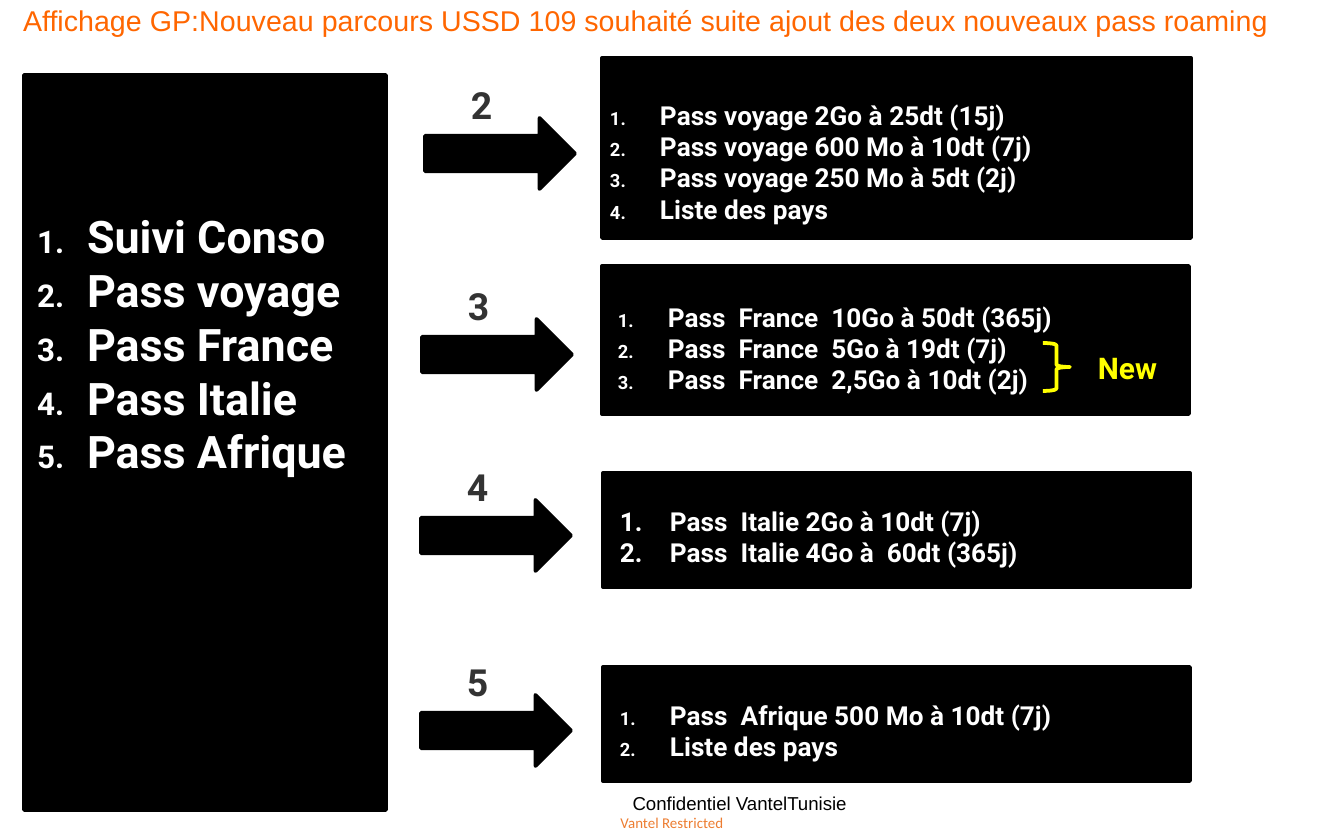
from lxml.etree import SubElement
from pptx import Presentation
from pptx.dml.color import RGBColor
from pptx.enum.shapes import MSO_SHAPE
from pptx.enum.text import MSO_ANCHOR, MSO_AUTO_SIZE, PP_ALIGN
from pptx.oxml.ns import qn
from pptx.util import Emu, Pt

EMU_PER_PX = 914400 / 134.4
INDENT = 50
BLACK, WHITE, YELLOW = "000000", "FFFFFF", "FFFF00"

# Text formats
TITLE = {"name": "Arial", "size": Pt(15.3), "bold": False, "color": "FF6600"}
MENU = {"name": "Roboto", "size": Pt(24), "bold": True, "color": WHITE}
OPTION = MENU | {"size": Pt(14)}
KEY = MENU | {"size": Pt(20), "color": "333333"}
NEW = MENU | {"size": Pt(16), "color": YELLOW}
FOOTER = {"name": "Arial", "size": Pt(10), "bold": False, "color": BLACK}
LABEL = FOOTER | {"name": "Calibri", "size": Pt(8), "color": "ED7D31"}

MENU_ITEMS = ["Suivi Conso", "Pass voyage", "Pass France", "Pass Italie", "Pass Afrique"]

# Key, arrow corner, panel box, panel left and top insets, number size in %, options
ROUTES = [
    ("2", (425, 118), (602, 58, 589, 180), (8, 41), 70,
     ["Pass voyage 2Go à 25dt (15j)", "Pass voyage 600 Mo à 10dt (7j)",
      "Pass voyage 250 Mo à 5dt (2j)", "Liste des pays"]),
    ("3", (422, 319), (602, 266, 587, 148), (16, 35), 70,
     ["Pass  France  10Go à 50dt (365j)", "Pass  France  5Go à 19dt (7j)",
      "Pass  France  2,5Go à 10dt (2j)"]),
    ("4", (421, 500), (603, 473, 587, 114), (17, 32), 100,
     ["Pass  Italie 2Go à 10dt (7j)", "Pass  Italie 4Go à  60dt (365j)"]),
    ("5", (421, 695), (603, 667, 587, 114), (17, 32), 70,
     ["Pass  Afrique 500 Mo à 10dt (7j)", "Liste des pays"]),
]


def px(n):
    return Emu(round(n * EMU_PER_PX))


def rgb(color):
    return RGBColor.from_string(color)


def place(sp, box):
    for name, value in zip(("left", "top", "width", "height"), box):
        setattr(sp, name, px(value))


def paint(sp, fill, line):
    if fill:
        sp.fill.solid()
        sp.fill.fore_color.rgb = rgb(fill)
    else:
        sp.fill.background()
    sp.line.color.rgb = rgb(line)
    sp.line.width = Pt(2)


def number(p, percent):
    """Number a paragraph with a hanging indent."""
    pPr = p._p.get_or_add_pPr()
    pPr.set("marL", str(px(INDENT)))
    pPr.set("indent", str(-px(INDENT)))
    color = SubElement(pPr, qn("a:buClr"))
    SubElement(color, qn("a:srgbClr"), val=WHITE)
    SubElement(pPr, qn("a:buSzPct"), val=str(percent * 1000))
    SubElement(pPr, qn("a:buFontTx"))
    SubElement(pPr, qn("a:buAutoNum"), type="arabicPeriod")


def write(sp, lines, style, insets=(13, 7, 13, 7), align=PP_ALIGN.LEFT,
          anchor=MSO_ANCHOR.TOP, wrap=True, percent=None, spacing=1.0):
    tf = sp.text_frame
    tf.word_wrap = wrap
    tf.auto_size = MSO_AUTO_SIZE.NONE
    tf.vertical_anchor = anchor
    for side, value in zip(("left", "top", "right", "bottom"), insets):
        setattr(tf, f"margin_{side}", px(value))
    for i, line in enumerate(lines):
        p = tf.add_paragraph() if i else tf.paragraphs[0]
        if percent:
            number(p, percent)
        p.alignment = align
        p.line_spacing = spacing
        p.space_before = Pt(0)
        r = p.add_run()
        r.text = line
        for name, value in style.items():
            if name == "color":
                r.font.color.rgb = rgb(value)
            else:
                setattr(r.font, name, value)


def add_text(s, box, text, style, **options):
    sp = s.shapes.add_textbox(*map(px, box))
    write(sp, [text], style, **options)


def add_shape(s, kind, box, fill, line):
    sp = s.shapes.add_shape(kind, *map(px, box))
    sp.shadow.inherit = False
    paint(sp, fill, line)
    return sp


def add_route(s, key, corner, box, inset, percent, options):
    x, y = corner
    add_shape(s, MSO_SHAPE.RIGHT_ARROW, (x, y, 150, 71), BLACK, BLACK)
    add_text(s, (x + 33, y - 43, 85, 59), key, KEY)
    panel = add_shape(s, MSO_SHAPE.RECTANGLE, box, BLACK, BLACK)
    write(panel, options, OPTION, insets=(*inset, 13, 7), percent=percent)


def main():
    prs = Presentation()
    prs.slide_width, prs.slide_height = px(1344), px(840)
    s = prs.slides.add_slide(prs.slide_layouts[1])

    # Title and main menu
    title, menu = s.placeholders
    place(title, (23, 7, 1317, 52))
    write(title, ["Affichage GP:Nouveau parcours USSD 109 souhaité suite ajout "
                  "des deux nouveaux pass roaming"],
          TITLE, insets=(0, 0, 0, 0), spacing=0.9)
    place(menu, (24, 75, 362, 735))
    paint(menu, BLACK, BLACK)
    write(menu, MENU_ITEMS, MENU, insets=(13, 134, 0, 7), percent=70)

    # Submenus
    for route in ROUTES:
        add_route(s, *route)

    # Mark on the new passes
    add_shape(s, MSO_SHAPE.RIGHT_BRACE, (1043, 343, 27, 48), None, YELLOW)
    add_text(s, (1085, 343, 94, 50), "New", NEW)

    # Footer
    add_text(s, (534, 785, 411, 23), "Confidentiel VantelTunisie", FOOTER,
             insets=(0, 7, 0, 7), align=PP_ALIGN.CENTER, wrap=False)
    add_text(s, (599, 814, 146, 17), "Vantel Restricted", LABEL,
             insets=(0, 0, 0, 0), align=PP_ALIGN.CENTER, anchor=MSO_ANCHOR.MIDDLE)

    prs.save("out.pptx")


if __name__ == "__main__":
    main()
